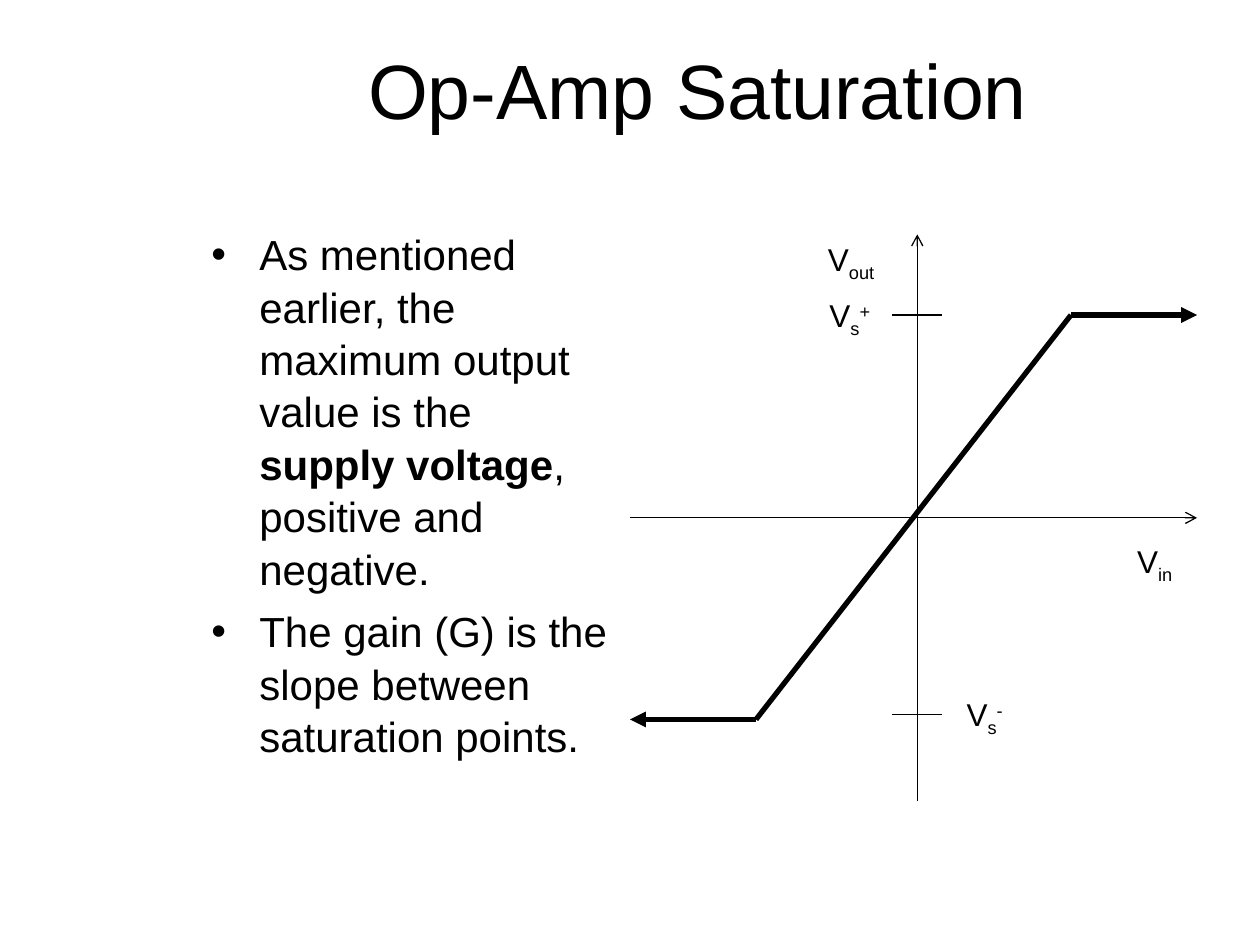
import pptx
import pptx.dml.color
import pptx.enum.shapes
import pptx.enum.text
import pptx.oxml.ns
import pptx.util
from lxml import etree

# Colours, type sizes (points) and line widths (points)
THEME = {
    "font": "Arial",
    "ink": pptx.dml.color.RGBColor(0, 0, 0),
    "title": 44,
    "body": 24,
    "label": 18,
    "thin": 0.75,
    "thick": 3,
}
CELL = 0.5  # inches; the slide is a grid of 20 columns by 15 rows
COLUMNS, ROWS = 20, 15

# Plot positions, in columns and rows
LEFT, RIGHT = 10, 19
AXIS_COLUMN, AXIS_ROW = 14.56, 8.22
AXIS_TOP, AXIS_BOTTOM = 3.72, 12.72
UPPER_KNEE, LOWER_KNEE = (17, 5), (12, 11.42)
TICK_ROWS = (5, 11.34)
TICK_HALF = 0.4
LABEL_SIZE = (1.34, 0.88)
SUBSCRIPT, SUPERSCRIPT = -25000, 30000

BULLETS = [
    [("As mentioned earlier, the maximum output value is the ", False),
     ("supply voltage", True),
     (", positive and negative.", False)],
    [("The gain (G) is the slope between saturation points.", False)],
]
# Label column and row, then the pieces of text with their baseline shift
LABELS = [
    (12.84, 3.72, [("V", 0), ("out", SUBSCRIPT)]),
    (17.66, 8.5, [("V", 0), ("in", SUBSCRIPT)]),
    (14.96, 10.94, [("V", 0), ("s", SUBSCRIPT), ("-", SUPERSCRIPT)]),
    (12.82, 4.6, [("V", 0), ("s", SUBSCRIPT), ("+", SUPERSCRIPT)]),
]


def grid(*cells):
    return [pptx.util.Inches(cell * CELL) for cell in cells]


def apply_format(target, values):
    for name, value in values.items():
        setattr(target, name, value)


def add_run(paragraph, text, size, bold=False):
    run = paragraph.add_run()
    run.text = text
    apply_format(run.font, {"name": THEME["font"], "bold": bold,
                            "size": pptx.util.Pt(THEME[size])})
    run.font.color.rgb = THEME["ink"]
    return run


def add_title(slide, text):
    title = slide.shapes.title
    left, top, width, height = grid(3.16, 0.16, 15.84, 2.5)
    apply_format(title, {"left": left, "top": top,
                         "width": width, "height": height})
    title.text_frame.vertical_anchor = pptx.enum.text.MSO_ANCHOR.MIDDLE
    paragraph = title.text_frame.paragraphs[0]
    paragraph.alignment = pptx.enum.text.PP_ALIGN.CENTER
    add_run(paragraph, text, "title")


def add_bullets(slide, items):
    frame = slide.shapes.add_textbox(*grid(3.16, 3.5, 6.84, 9.9)).text_frame
    frame.word_wrap = True
    for index, pieces in enumerate(items):
        paragraph = frame.add_paragraph() if index else frame.paragraphs[0]
        properties = paragraph._p.get_or_add_pPr()
        indent = pptx.util.Inches(0.38)
        properties.set("marL", str(indent))
        properties.set("indent", str(-indent))
        for tag, key, value in (("a:buFont", "typeface", THEME["font"]),
                                ("a:buChar", "char", "•")):
            element = etree.SubElement(properties, pptx.oxml.ns.qn(tag))
            element.set(key, value)
        apply_format(paragraph, {"line_spacing": 1.04,
                                 "space_before": pptx.util.Pt(6 if index else 0)})
        for text, bold in pieces:
            add_run(paragraph, text, "body", bold)


def add_label(slide, column, row, pieces):
    frame = slide.shapes.add_textbox(*grid(column, row, *LABEL_SIZE)).text_frame
    frame.word_wrap = True
    paragraph = frame.paragraphs[0]
    paragraph.alignment = pptx.enum.text.PP_ALIGN.CENTER
    for text, shift in pieces:
        run = add_run(paragraph, text, "label")
        if shift:
            run.font._element.set("baseline", str(shift))


def add_line(slide, start, end, weight, arrow=None):
    connector = slide.shapes.add_connector(
        pptx.enum.shapes.MSO_CONNECTOR.STRAIGHT, *grid(*start, *end))
    connector.line.width = pptx.util.Pt(THEME[weight])
    connector.line.color.rgb = THEME["ink"]
    if arrow:
        line = connector.line._get_or_add_ln()
        etree.SubElement(line, pptx.oxml.ns.qn("a:tailEnd")).set("type", arrow)
    etree.SubElement(connector._element.spPr, pptx.oxml.ns.qn("a:effectLst"))


def main():
    presentation = pptx.Presentation()
    presentation.slide_width, presentation.slide_height = grid(COLUMNS, ROWS)
    slide = presentation.slides.add_slide(presentation.slide_layouts[5])

    add_title(slide, "Op-Amp Saturation")
    add_bullets(slide, BULLETS)

    # Axes and supply voltage ticks
    add_line(slide, (LEFT, AXIS_ROW), (RIGHT, AXIS_ROW), "thin", "arrow")
    add_line(slide, (AXIS_COLUMN, AXIS_BOTTOM), (AXIS_COLUMN, AXIS_TOP),
             "thin", "arrow")
    for row in TICK_ROWS:
        add_line(slide, (AXIS_COLUMN - TICK_HALF, row),
                 (AXIS_COLUMN + TICK_HALF, row), "thin")
    for label in LABELS:
        add_label(slide, *label)

    # Transfer curve: the gain slope, then saturation on both sides
    add_line(slide, UPPER_KNEE, LOWER_KNEE, "thick")
    for knee, edge in ((UPPER_KNEE, RIGHT), (LOWER_KNEE, LEFT)):
        add_line(slide, knee, (edge, knee[1]), "thick", "triangle")

    presentation.save("out.pptx")


if __name__ == "__main__":
    main()
